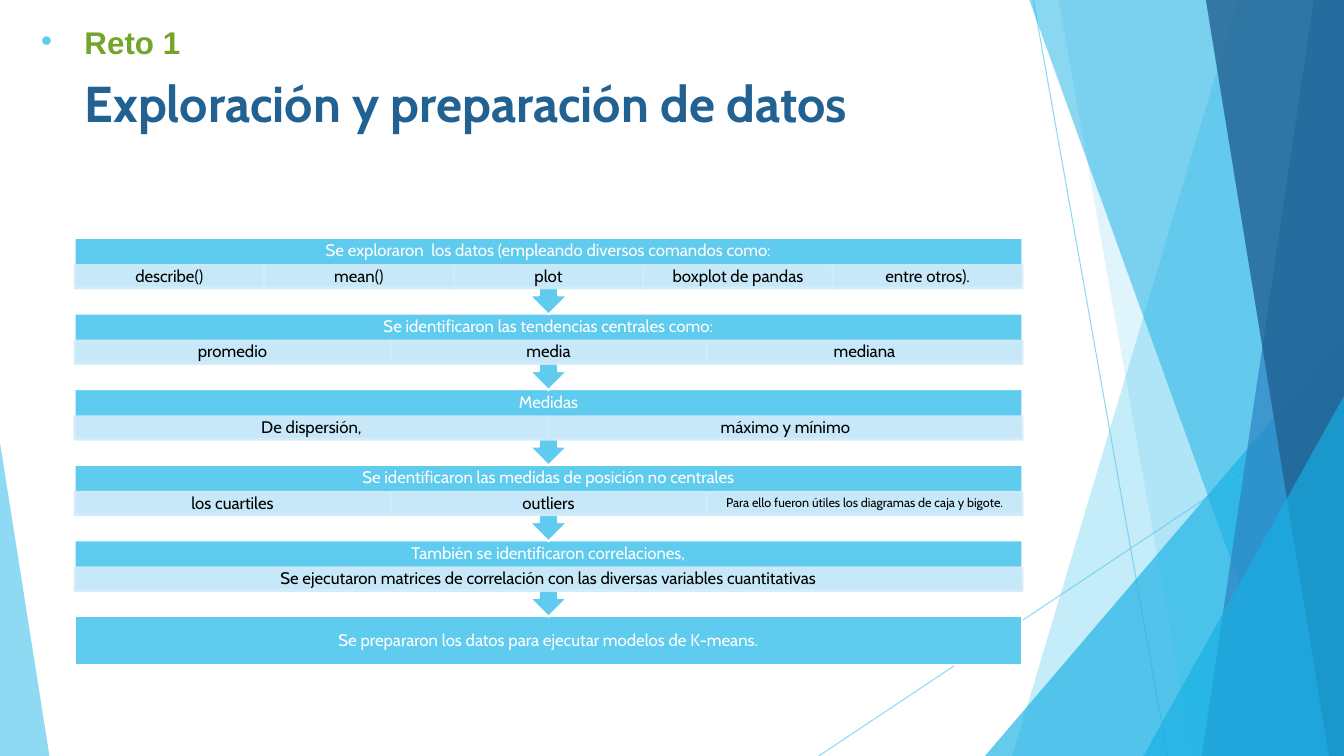
from lxml import etree
from pptx import Presentation
from pptx.dml.color import RGBColor
from pptx.enum.shapes import MSO_CONNECTOR, MSO_SHAPE
from pptx.enum.text import MSO_ANCHOR, MSO_AUTO_SIZE, PP_ALIGN
from pptx.oxml.ns import qn
from pptx.util import Inches, Pt

SLIDE_WIDTH, SLIDE_HEIGHT = Inches(13.33), Inches(7.5)
RECTANGLE = MSO_SHAPE.RECTANGLE
TRIANGLE = MSO_SHAPE.ISOSCELES_TRIANGLE
CALLOUT = MSO_SHAPE.UP_ARROW_CALLOUT
STRAIGHT = MSO_CONNECTOR.STRAIGHT
CENTER, LEFT = PP_ALIGN.CENTER, PP_ALIGN.LEFT
MIDDLE, TOP = MSO_ANCHOR.MIDDLE, MSO_ANCHOR.TOP
NO_AUTOFIT = MSO_AUTO_SIZE.NONE

COLORS = {
    "sky": "5FCBEF",
    "cyan": "17B0E4",
    "blue": "2E83C3",
    "navy": "226292",
    "pale": "D2ECF9",
    "green": "72A528",
    "white": "FFFFFF",
    "black": "000000",
}

FLOW_LEFT, FLOW_TOP, FLOW_WIDTH = 5.55, 31.47, 70.52
STEP_PITCH, STEP_HEIGHT = 10, 10.13
HEADER_HEIGHT, CELL_HEIGHT, LAST_HEIGHT = 3.6, 3.07, 6.53

STEPS = [
    ("Se exploraron  los datos (empleando diversos comandos como:",
     ["describe()", "mean()", "plot", "boxplot de pandas", "entre otros)."]),
    ("Se identificaron las tendencias centrales como:",
     ["promedio", "media", "mediana"]),
    ("Medidas", ["De dispersión,", "máximo y mínimo"]),
    ("Se identificaron las medidas de posición no centrales",
     ["los cuartiles", "outliers",
      "Para ello fueron útiles los diagramas de caja y bigote."]),
    ("También se identificaron correlaciones,",
     ["Se ejecutaron matrices de correlación con las diversas variables cuantitativas"]),
]
CONCLUSION = "Se prepararon los datos para ejecutar modelos de K-means."
LONG_CELL = STEPS[3][1][2]


def across(percent):
    return round(SLIDE_WIDTH * percent / 100)


def down(percent):
    return round(SLIDE_HEIGHT * percent / 100)


def area(left, top, width, height):
    return across(left), down(top), across(width), down(height)


def paint(color_format, name, opacity=100):
    color_format.rgb = RGBColor.from_string(COLORS[name])
    if opacity < 100:
        color = color_format._xFill.find(qn("a:srgbClr"))
        etree.SubElement(color, qn("a:alpha"), val=str(opacity * 1000))


def fill_shape(shape, name, opacity=100, outline=None):
    shape.shadow.inherit = False
    shape.fill.solid()
    paint(shape.fill.fore_color, name)
    set_opacity(shape._element.spPr.find(qn("a:solidFill")), opacity)
    if outline is None:
        shape.line.fill.background()
    else:
        style_line(shape, outline, 1.5, opacity)


def style_line(shape, name, width, opacity):
    shape.line.width = Pt(width)
    shape.line.color.rgb = RGBColor.from_string(COLORS[name])
    line_fill = shape._element.spPr.find(qn("a:ln")).find(qn("a:solidFill"))
    set_opacity(line_fill, opacity)


def set_opacity(solid_fill, opacity):
    if opacity < 100:
        color = solid_fill.find(qn("a:srgbClr"))
        etree.SubElement(color, qn("a:alpha"), val=str(opacity * 1000))


def write(shape, text, size, color, font="Cabin", bold=False, align=CENTER,
          anchor=MIDDLE, spacing=0.9, margins=(0.09, 0.02)):
    frame = shape.text_frame
    frame.text = text
    frame.word_wrap = True
    frame.auto_size = NO_AUTOFIT
    frame.vertical_anchor = anchor
    frame.margin_left = frame.margin_right = Inches(margins[0])
    frame.margin_top = frame.margin_bottom = Inches(margins[1])
    para = frame.paragraphs[0]
    para.alignment = align
    para.line_spacing = spacing
    span = para.runs[0]
    span.font.name = font
    span.font.size = Pt(size)
    span.font.bold = bold
    span.font.color.rgb = RGBColor.from_string(COLORS[color])
    return para


def add_thin_line(page, start, end):
    line = page.shapes.add_connector(
        STRAIGHT, across(start[0]), down(start[1]), across(end[0]), down(end[1]))
    style_line(line, "sky", 0.75, 70)
    etree.SubElement(line._element.spPr, qn("a:effectLst"))


def add_ramp(page, top_x, bottom_x, color, opacity):
    builder = page.shapes.build_freeform(across(top_x), 0)
    builder.add_line_segments([
        (SLIDE_WIDTH, 0), (SLIDE_WIDTH, SLIDE_HEIGHT),
        (across(bottom_x), SLIDE_HEIGHT)])
    fill_shape(builder.convert_to_shape(), color, opacity)


def add_corner(page, left, top, width, peak, color, opacity):
    corner = page.shapes.add_shape(TRIANGLE, *area(left, top, width, 100 - top))
    corner.adjustments[0] = peak
    fill_shape(corner, color, opacity)


def add_decoration(page):
    add_thin_line(page, (76.89, 0), (86.87, 100))
    add_thin_line(page, (100, 53.73), (60.92, 100))
    add_ramp(page, 92.12, 75.32, "sky", 36)
    add_ramp(page, 78.77, 88.75, "sky", 20)
    add_corner(page, 73.29, 44.4, 26.71, 1, "cyan", 66)
    add_ramp(page, 76.59, 96.85, "cyan", 50)
    add_ramp(page, 97.75, 89.42, "blue", 70)
    add_ramp(page, 89.72, 98.87, "navy", 80)
    add_corner(page, 85.07, 52.4, 14.93, 1, "cyan", 66)
    add_corner(page, 0, 58.53, 3.68, 0, "sky", 70)


def add_heading(page):
    title = page.shapes.title
    title.left, title.top, title.width, title.height = area(5.55, 8.93, 70.52, 19.2)
    write(title, "Exploración y preparación de datos", 36, "navy", bold=True,
          align=LEFT, anchor=TOP, spacing=1.0, margins=(0.1, 0.05))


def add_challenge_label(page):
    box = page.shapes.add_textbox(*area(1.8, 3.73, 33.31, 7.47))
    para = write(box, "Reto 1", 22.4, "green", font="Arial", bold=True,
                 align=LEFT, anchor=TOP, spacing=0.7, margins=(0.1, 0.05))
    para.space_before = Pt(14)
    properties = para._p.get_or_add_pPr()
    properties.set("marL", str(Inches(0.5)))
    properties.set("indent", str(Inches(-0.43)))
    bullet_color = etree.SubElement(properties, qn("a:buClr"))
    etree.SubElement(bullet_color, qn("a:srgbClr"), val=COLORS["sky"])
    etree.SubElement(properties, qn("a:buFont"), typeface="Arial")
    etree.SubElement(properties, qn("a:buChar"), char="•")


def add_step(page, top, header, cells):
    callout = page.shapes.add_shape(
        CALLOUT, *area(FLOW_LEFT, top, FLOW_WIDTH, STEP_HEIGHT))
    callout.rotation = 180
    fill_shape(callout, "sky", outline="white")
    box = page.shapes.add_textbox(*area(FLOW_LEFT, top, FLOW_WIDTH, HEADER_HEIGHT))
    write(box, header, 12, "white", margins=(0.09, 0.09))
    width = FLOW_WIDTH / len(cells)
    for column, text in enumerate(cells):
        cell = page.shapes.add_shape(RECTANGLE, *area(
            FLOW_LEFT + column * width, top + HEADER_HEIGHT, width, CELL_HEIGHT))
        fill_shape(cell, "pale", 90, outline="pale")
        write(cell, text, 9 if text == LONG_CELL else 12, "black")


def add_flow(page):
    conclusion = page.shapes.add_shape(RECTANGLE, *area(
        FLOW_LEFT, FLOW_TOP + len(STEPS) * STEP_PITCH, FLOW_WIDTH, LAST_HEIGHT))
    fill_shape(conclusion, "sky", outline="white")
    write(conclusion, CONCLUSION, 12, "white", margins=(0.09, 0.09))
    for row, (header, cells) in reversed(list(enumerate(STEPS))):
        add_step(page, FLOW_TOP + row * STEP_PITCH, header, cells)


def main():
    deck = Presentation()
    deck.slide_width, deck.slide_height = SLIDE_WIDTH, SLIDE_HEIGHT
    page = deck.slides.add_slide(deck.slide_layouts[5])
    add_decoration(page)
    add_heading(page)
    add_flow(page)
    add_challenge_label(page)
    deck.save("out.pptx")


if __name__ == "__main__":
    main()
